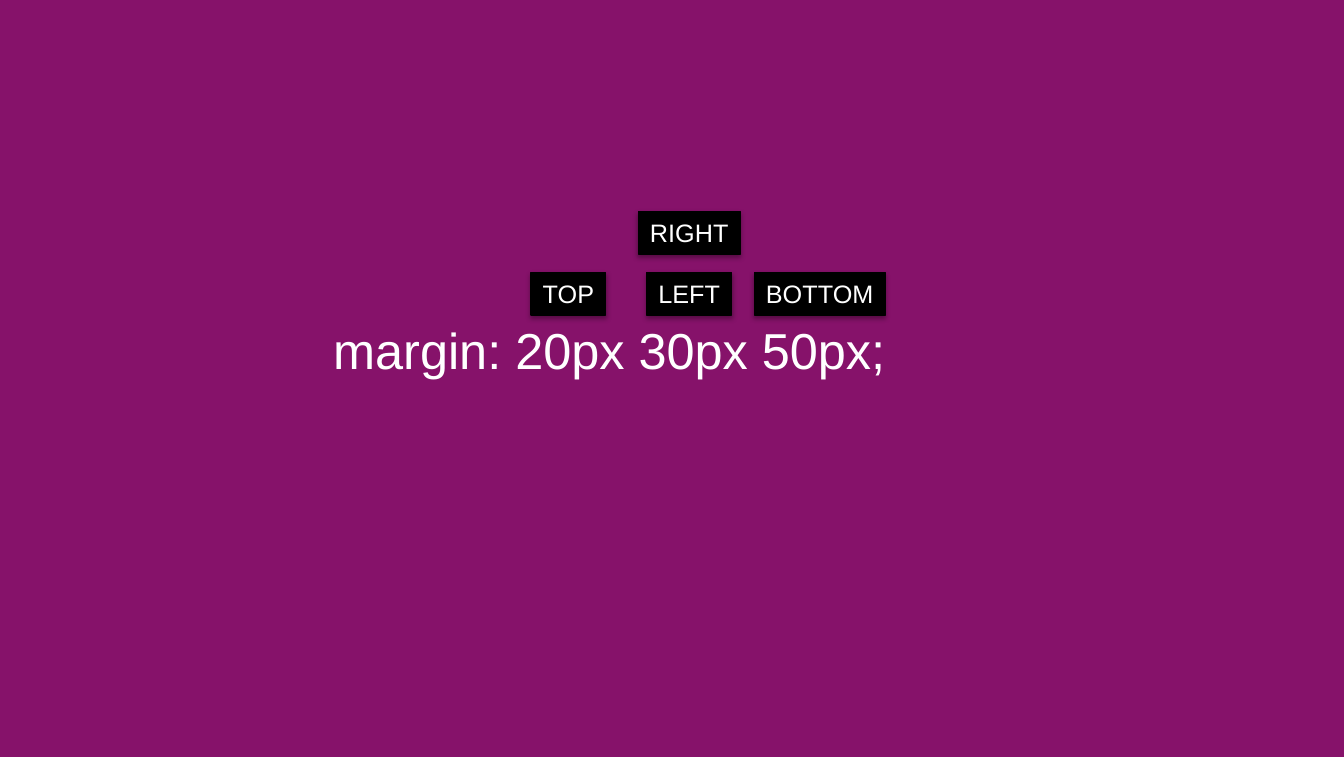
from pptx import Presentation
from pptx import util as u
from pptx.dml.color import RGBColor
from pptx.enum import shapes, text
from pptx.oxml import parse_xml
from pptx.oxml.ns import nsdecls, qn

Pt = u.Pt


def color(code):
    return RGBColor.from_string(code)


class Deck:
    font = "Arial"
    ink = "FFFFFF"
    back = "86126A"
    block = "000000"

    def __init__(self, wide, high):
        self.prs = Presentation()
        self.prs.slide_width, self.prs.slide_height = Pt(wide), Pt(high)
        self.slide = self.prs.slides.add_slide(self.prs.slide_layouts[6])
        fill = self.slide.background.fill
        fill.solid()
        fill.fore_color.rgb = color(self.back)

    def add_words(self, frame, words, size, align):
        para = frame.paragraphs[0]
        para.alignment = align
        run = para.add_run()
        run.text = words
        run.font.name = self.font
        run.font.size = Pt(size)
        run.font.color.rgb = color(self.ink)

    def code(self, words, left, top, wide, high):
        box = self.slide.shapes.add_textbox(Pt(left), Pt(top), Pt(wide), Pt(high))
        box.text_frame.word_wrap = True
        self.add_words(box.text_frame, words, 31.6, text.PP_ALIGN.LEFT)

    def shade(self, shape):
        """Give the shape a soft shadow just below it."""
        shape.shadow.inherit = False
        effects = shape._element.spPr.find(qn("a:effectLst"))
        effects.append(parse_xml(
            f'<a:outerShdw {nsdecls("a")} blurRad="{Pt(3.1)}" dist="{Pt(1.8)}" '
            f'dir="5400000" rotWithShape="0"><a:srgbClr val="{self.block}">'
            '<a:alpha val="35000"/></a:srgbClr></a:outerShdw>'))

    def label(self, words, mid, top, wide, high=26.6):
        """Add a black tag centred on the x position mid."""
        tag = self.slide.shapes.add_shape(
            shapes.MSO_SHAPE.RECTANGLE,
            Pt(mid - wide / 2), Pt(top), Pt(wide), Pt(high))
        tag.fill.solid()
        tag.fill.fore_color.rgb = color(self.block)
        tag.line.color.rgb = color(self.block)
        tag.line.width = Pt(0.75)
        self.shade(tag)
        frame = tag.text_frame
        frame.word_wrap = False
        frame.vertical_anchor = text.MSO_ANCHOR.MIDDLE
        self.add_words(frame, words, 15.8, text.PP_ALIGN.CENTER)


def main():
    deck = Deck(841.68, 473.76)
    deck.code("margin: 20px 30px 50px;", 201.6, 195.84, 364.4, 83.5)

    upper, lower = 132.4, 170.6
    for words, mid, top, wide in (
        ("TOP", 356, lower, 46.8),
        ("RIGHT", 431.7, upper, 64),
        ("BOTTOM", 513.4, lower, 82),
        ("LEFT", 431.7, lower, 53.3),
    ):
        deck.label(words, mid, top, wide)

    deck.prs.save("out.pptx")


if __name__ == "__main__":
    main()
